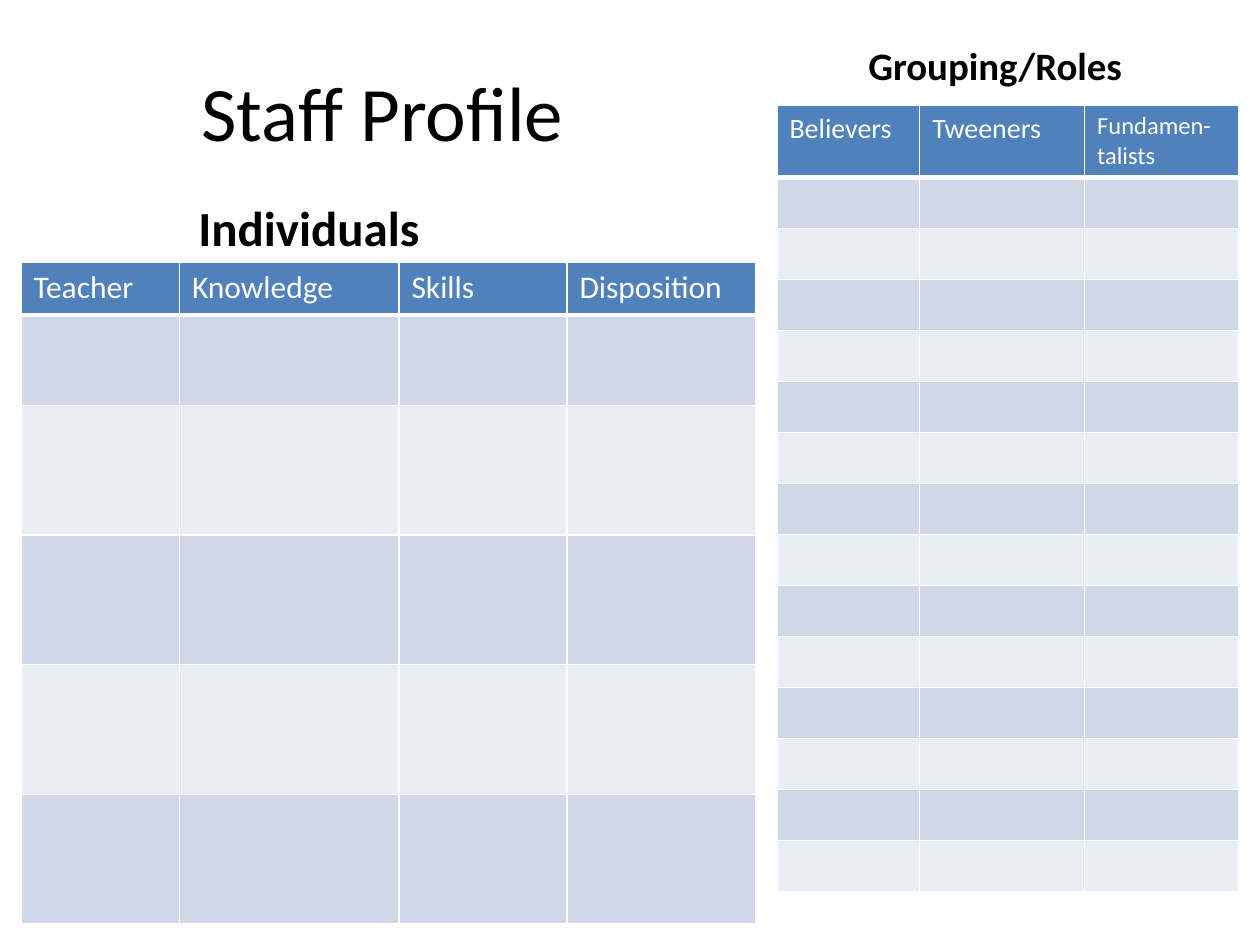
"""Build the staff profile slide on a grid of 120 columns by 90 rows."""
from lxml import etree
from pptx import Presentation, util as u
from pptx.dml.color import RGBColor
from pptx.enum import text
from pptx.oxml import ns

deck = Presentation()
deck.slide_width, deck.slide_height = u.Inches(10), u.Inches(7.5)
unit = deck.slide_width / 120
slide = deck.slides.add_slide(deck.slide_layouts[6])
mid, low = text.MSO_ANCHOR.MIDDLE, text.MSO_ANCHOR.BOTTOM


def grid(*steps):
    return [u.Emu(round(step * unit)) for step in steps]


def write(frame, words, size, tint, bold=False):
    run = frame.paragraphs[0].add_run()
    run.text = words
    run.font.name, run.font.size, run.font.bold = "Calibri", u.Pt(size), bold
    run.font.color.rgb = RGBColor.from_string(tint)


heads = [
    ("Staff Profile", (5, 3, 108, 15), 14.2, 44, False, mid),
    ("Individuals", (6, 17, 53, 8), 12.9, 28, True, low),
    ("Grouping/Roles", (75, 4, 42, 5), 7.7, 22.2, True, low),
]
for words, place, inset, size, bold, anchor in heads:
    frame = slide.shapes.add_textbox(*grid(*place)).text_frame
    frame.word_wrap = True
    frame.vertical_anchor = anchor
    frame.margin_left = grid(inset)[0]
    write(frame, words, size, "000000", bold)

tables = [
    ((2, 25), (15.1, 20.9, 16, 18), [5, 8.6] + [12.35] * 4,
     [("Teacher", 18), ("Knowledge", 18), ("Skills", 18), ("Disposition", 18)]),
    ((74, 10), (13.6, 15.7, 14.7), [6.9] + [4.86] * 14,
     [("Believers", 16), ("Tweeners", 16), ("Fundamen-talists", 14)]),
]
for place, wides, highs, labels in tables:
    box = grid(*place, sum(wides), sum(highs))
    table = slide.shapes.add_table(len(highs), len(wides), *box).table
    table.first_row = table.horz_banding = False
    for col, wide in zip(table.columns, grid(*wides)):
        col.width = wide
    for row, high in zip(table.rows, grid(*highs)):
        row.height = high
    for i, row in enumerate(table.rows):
        for cell in row.cells:
            props = cell._tc.get_or_add_tcPr()
            for side in "LRTB":
                thick = 3 if (i, side) in ((0, "B"), (1, "T")) else 1
                line = etree.SubElement(props, ns.qn("a:ln" + side), w=str(u.Pt(thick)))
                fill = etree.SubElement(line, ns.qn("a:solidFill"))
                etree.SubElement(fill, ns.qn("a:srgbClr"), val="FFFFFF")
            tint = "4F81BD" if i == 0 else ("E9EDF4", "D0D8E8")[i % 2]
            cell.fill.solid()
            cell.fill.fore_color.rgb = RGBColor.from_string(tint)
    for cell, (words, size) in zip(table.rows[0].cells, labels):
        write(cell.text_frame, words, size, "FFFFFF")

deck.save("out.pptx")
